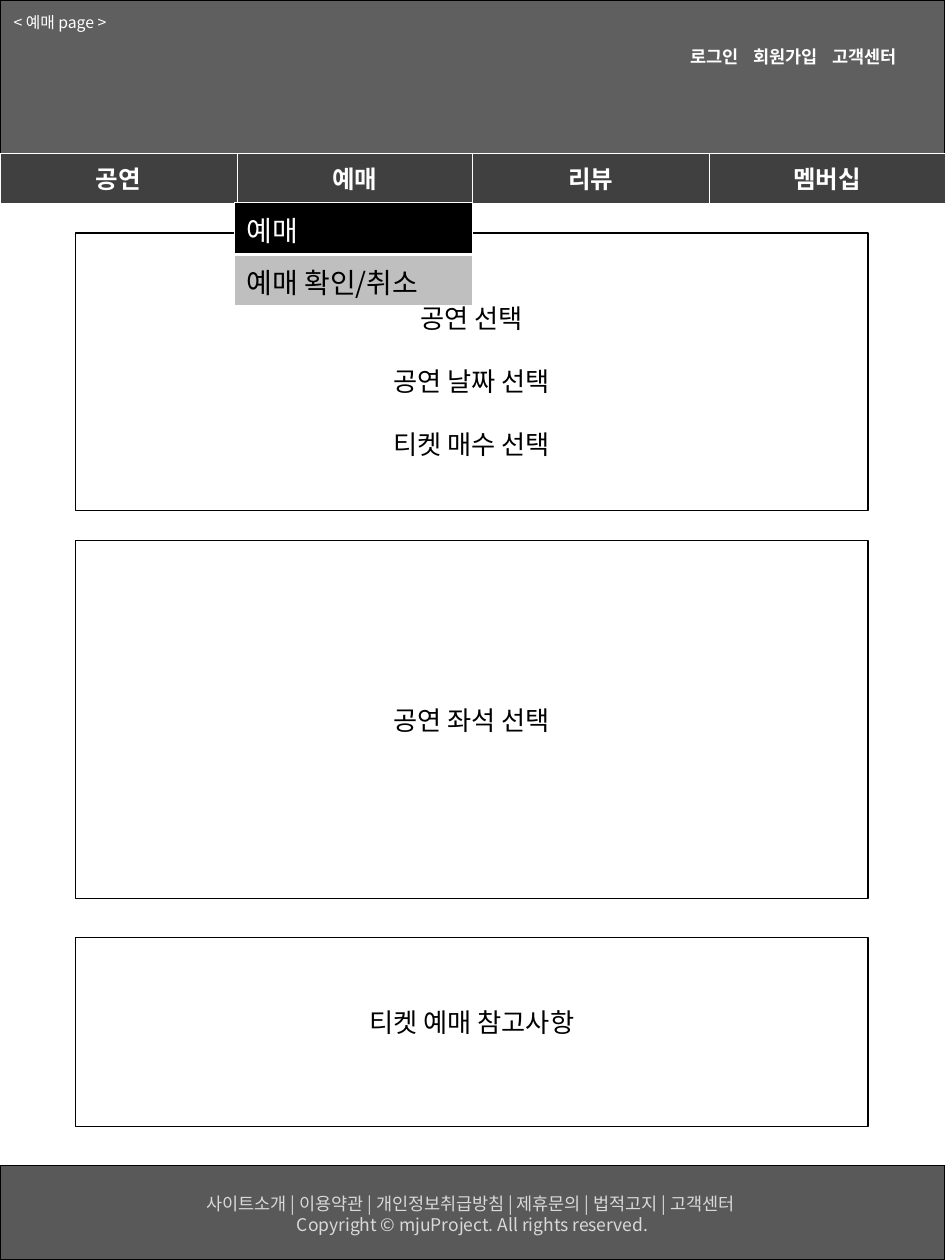
from lxml import etree
from pptx import Presentation
from pptx import util as u
from pptx.dml.color import RGBColor
from pptx.enum import shapes, text
from pptx.oxml import ns

FONT = "Noto Sans CJK KR"
WHITE, BLACK = "FFFFFF", "000000"
ALIGN, ANCHOR = text.PP_ALIGN, text.MSO_ANCHOR


def color(value):
    return RGBColor.from_string(value)


class Page:
    def __init__(self, slide):
        self.slide = slide

    def add_words(self, para, words, size, ink, bold=False, align=ALIGN.LEFT):
        para.alignment = align
        span = para.add_run()
        span.text = words
        span.font.size = u.Pt(size)
        span.font.bold = bold
        span.font.color.rgb = color(ink)
        span.font.name = FONT
        etree.SubElement(span._r.get_or_add_rPr(), ns.qn("a:ea"), typeface=FONT)

    def box(self, place, fill, lines=(), size=15, ink=BLACK, offset=0, gap=0):
        """Outlined rectangle; offset is the number of line heights above the text."""
        box = self.slide.shapes.add_shape(
            shapes.MSO_SHAPE.RECTANGLE, *map(u.Inches, place))
        box.shadow.inherit = False
        box.fill.solid()
        box.fill.fore_color.rgb = color(fill)
        box.line.color.rgb = color(BLACK)
        box.line.width = u.Pt(0.75)
        frame = box.text_frame
        pitch = size * 1.2
        frame.vertical_anchor = ANCHOR.TOP
        frame.margin_top = u.Inches(0.05) + u.Pt(pitch * offset)
        for index, words in enumerate(lines):
            para = frame.add_paragraph() if index else frame.paragraphs[0]
            para.line_spacing = u.Pt(pitch)
            para.space_before = u.Pt(gap if index else 0)
            self.add_words(para, words, size, ink, align=ALIGN.CENTER)

    def label(self, place, words, size, ink):
        label = self.slide.shapes.add_textbox(*map(u.Inches, place))
        frame = label.text_frame
        frame.word_wrap = True
        frame.vertical_anchor = ANCHOR.MIDDLE
        self.add_words(frame.paragraphs[0], words, size, ink)

    def title(self, place, words, size, ink, indent, stops):
        title = self.slide.shapes.title
        title.left, title.top, title.width, title.height = map(u.Inches, place)
        frame = title.text_frame
        frame.vertical_anchor = ANCHOR.MIDDLE
        frame.margin_left = u.Inches(indent)
        para = frame.paragraphs[0]
        self.add_words(para, words, size, ink, bold=True)
        tabs = etree.SubElement(para._p.get_or_add_pPr(), ns.qn("a:tabLst"))
        for stop in stops:
            etree.SubElement(tabs, ns.qn("a:tab"), pos=str(u.Inches(stop)), algn="l")
        # Bring the title in front of the header band
        title.element.getparent().append(title.element)

    def border(self, cell, top, bottom):
        props = cell._tc.get_or_add_tcPr()
        for side, width in (("L", 0.45), ("R", 0.45), ("T", top), ("B", bottom)):
            line = etree.SubElement(props, ns.qn("a:ln" + side), w=str(u.Pt(width)))
            fill = etree.SubElement(line, ns.qn("a:solidFill"))
            etree.SubElement(fill, ns.qn("a:srgbClr"), val=WHITE)

    def table(self, place, rows, widths, heights, size, bold, align):
        """Each cell is (words, fill, ink, top border, bottom border)."""
        frame = self.slide.shapes.add_table(
            len(rows), len(widths), *map(u.Inches, place))
        table = frame.table
        table.first_row = table.horz_banding = False
        for column, width in zip(table.columns, widths):
            column.width = u.Inches(width)
        for row, height, cells in zip(table.rows, heights, rows):
            row.height = u.Inches(height)
            for cell, (words, fill, ink, top, bottom) in zip(row.cells, cells):
                self.border(cell, top, bottom)
                cell.fill.solid()
                cell.fill.fore_color.rgb = color(fill)
                para = cell.text_frame.paragraphs[0]
                self.add_words(para, words, size, ink, bold, align)


def main():
    deck = Presentation()
    deck.slide_width, deck.slide_height = u.Inches(7.5), u.Inches(10)
    page = Page(deck.slides.add_slide(deck.slide_layouts[5]))
    left, width = 0.6, 6.29

    # Show, date and ticket selection
    page.box((left, 1.85, width, 2.2), WHITE,
             ["공연 선택", "공연 날짜 선택", "티켓 매수 선택"], offset=2, gap=18)

    # Header with the navigation bar and member links
    page.box((0, 0, 7.5, 1.22), "5F5F5F")
    menu = [(name, "404040", WHITE, 0.45, 1.47)
            for name in ("공연", "예매", "리뷰", "멤버십")]
    page.table((0, 1.22, 7.5, 0.4), [menu], [1.88, 1.87] * 2, [0.4],
               14, True, ALIGN.CENTER)
    page.title((5.17, 0.2, 2.05, 0.5), "로그인\t회원가입\t고객센터", 10, WHITE,
               indent=0.31, stops=(0.5, 1.13))

    # Footer
    page.box((0, 9.25, 7.5, 0.75), "595959",
             ["사이트소개 | 이용약관 | 개인정보취급방침 | 제휴문의 | 법적고지 | 고객센터 ",
              "Copyright © mjuProject. All rights reserved."],
             size=10, ink="D9D9D9", offset=1)
    page.label((0.01, 0, 1.3, 0.35), "< 예매 page >", 9, WHITE)

    # Opened booking menu
    page.table((1.86, 1.61, 1.89, 0.81),
               [[("예매", BLACK, WHITE, 0.45, 1.47)],
                [("예매 확인/취소", "BFBFBF", BLACK, 1.47, 0.45)]],
               [1.89], [0.41, 0.4], 16, False, ALIGN.LEFT)

    # Booking notes and seat selection
    page.box((left, 7.44, width, 1.5), WHITE, ["티켓 예매 참고사항"], offset=2)
    page.box((left, 4.29, width, 2.84), WHITE, ["공연 좌석 선택"], offset=5)

    deck.save("out.pptx")


if __name__ == "__main__":
    main()
